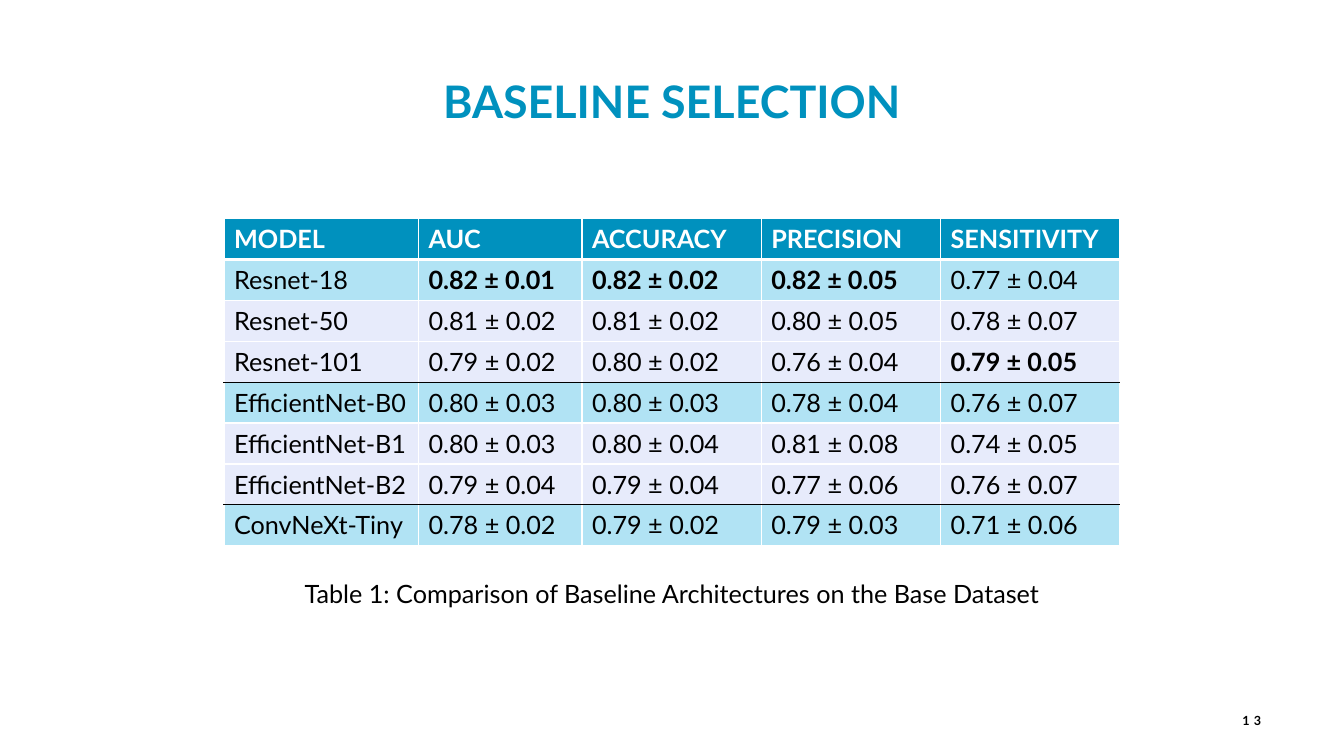
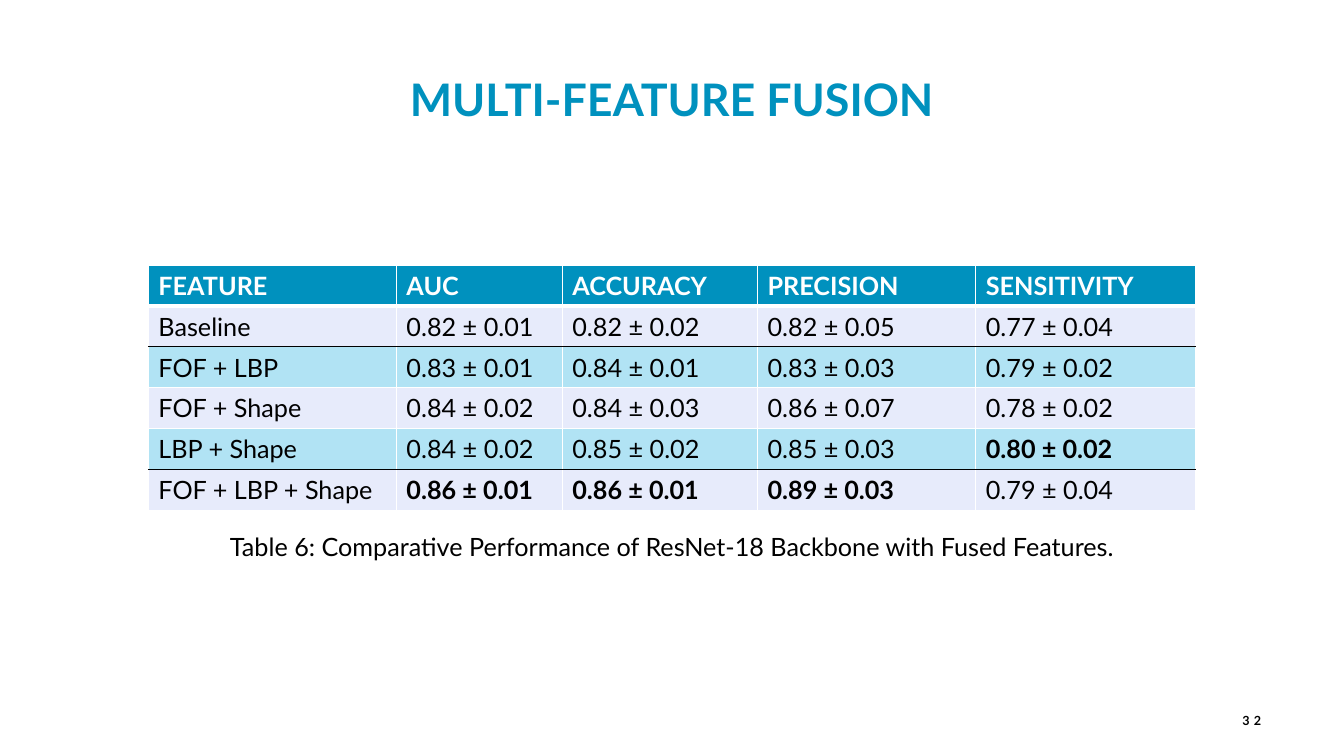
"""Build two result-table slides in one shared style."""
from dataclasses import dataclass

from lxml.etree import SubElement
from pptx import Presentation
from pptx.dml.color import RGBColor
from pptx.enum.text import MSO_ANCHOR, MSO_AUTO_SIZE, PP_ALIGN
from pptx.oxml.ns import qn
from pptx.util import Cm, Pt


@dataclass(frozen=True)
class Theme:
    """Colours, type sizes and lengths in centimetres shared by the slides."""
    font: str = "Lato"
    accent: str = "0091BE"
    highlight: str = "64C8EB"
    highlight_alpha: int = 50
    plain: str = "E7EBFB"
    white: str = "FFFFFF"
    black: str = "000000"
    title_size: int = 32
    body_size: int = 18
    number_size: int = 9
    number_spacing: int = 3
    slide_width: float = 33.87
    slide_height: float = 19.05
    row_height: float = 1.03
    thin_line: int = 1
    header_line: int = 3


@dataclass(frozen=True)
class ResultPage:
    """Content of one slide; rows are counted from the header, row 0."""
    title: str
    title_top: float
    number: str
    caption: str
    caption_top: float
    table_top: float
    column_widths: tuple
    rows: tuple
    highlighted: tuple
    ruled: tuple


THEME = Theme()
METRICS = ("AUC", "ACCURACY", "PRECISION", "SENSITIVITY")

PAGES = (
    ResultPage(
        title="BASELINE SELECTION",
        title_top=1.73,
        number="13",
        caption="Table 1: Comparison of Baseline Architectures on the Base Dataset",
        caption_top=14.43,
        table_top=5.51,
        column_widths=(4.9, 4.12, 4.52, 4.52, 4.52),
        rows=(
            ("MODEL", *METRICS),
            ("Resnet-18", "0.82 ± 0.01", "0.82 ± 0.02", "0.82 ± 0.05", "0.77 ± 0.04"),
            ("Resnet-50", "0.81 ± 0.02", "0.81 ± 0.02", "0.80 ± 0.05", "0.78 ± 0.07"),
            ("Resnet-101", "0.79 ± 0.02", "0.80 ± 0.02", "0.76 ± 0.04", "0.79 ± 0.05"),
            ("EfficientNet-B0", "0.80 ± 0.03", "0.80 ± 0.03", "0.78 ± 0.04", "0.76 ± 0.07"),
            ("EfficientNet-B1", "0.80 ± 0.03", "0.80 ± 0.04", "0.81 ± 0.08", "0.74 ± 0.05"),
            ("EfficientNet-B2", "0.79 ± 0.04", "0.79 ± 0.04", "0.77 ± 0.06", "0.76 ± 0.07"),
            ("ConvNeXt-Tiny", "0.78 ± 0.02", "0.79 ± 0.02", "0.79 ± 0.03", "0.71 ± 0.06"),
        ),
        highlighted=(1, 4, 7),
        ruled=(3, 6),
    ),
    ResultPage(
        title="MULTI-FEATURE FUSION",
        title_top=1.68,
        number="32",
        caption="Table 6: Comparative Performance of ResNet-18 Backbone with Fused Features.",
        caption_top=13.26,
        table_top=6.68,
        column_widths=(6.25, 4.18, 4.92, 5.5, 5.54),
        rows=(
            ("FEATURE", *METRICS),
            ("Baseline", "0.82 ± 0.01", "0.82 ± 0.02", "0.82 ± 0.05", "0.77 ± 0.04"),
            ("FOF + LBP", "0.83 ± 0.01", "0.84 ± 0.01", "0.83 ± 0.03", "0.79 ± 0.02"),
            ("FOF + Shape", "0.84 ± 0.02", "0.84 ± 0.03", "0.86 ± 0.07", "0.78 ± 0.02"),
            ("LBP + Shape", "0.84 ± 0.02", "0.85 ± 0.02", "0.85 ± 0.03", "0.80 ± 0.02"),
            ("FOF + LBP + Shape", "0.86 ± 0.01", "0.86 ± 0.01", "0.89 ± 0.03", "0.79 ± 0.04"),
        ),
        highlighted=(2, 4),
        ruled=(1, 4),
    ),
)


def write_text(frame, text, size, color, bold=False, align=PP_ALIGN.LEFT):
    """Put one formatted line into a text frame and return its run."""
    frame.text = text
    paragraph = frame.paragraphs[0]
    paragraph.alignment = align
    span = paragraph.runs[0]
    span.font.name = THEME.font
    span.font.size = Pt(size)
    span.font.bold = bold
    span.font.color.rgb = RGBColor.from_string(color)
    return span


def add_title(page, text, top):
    """Place the title across the whole slide."""
    box = page.shapes.title
    box.left, box.top = Cm(0), Cm(top)
    box.width, box.height = Cm(THEME.slide_width), Cm(1.63)
    box.text_frame.auto_size = MSO_AUTO_SIZE.NONE
    box.text_frame.vertical_anchor = MSO_ANCHOR.TOP
    write_text(box.text_frame, text, THEME.title_size, THEME.accent, True, PP_ALIGN.CENTER)


def add_label(page, text, left, top, width, size, bold, align):
    """Add a one-line text box and return its run."""
    box = page.shapes.add_textbox(Cm(left), Cm(top), Cm(width), Cm(1.03))
    box.text_frame.word_wrap = True
    box.text_frame.vertical_anchor = MSO_ANCHOR.MIDDLE
    return write_text(box.text_frame, text, size, THEME.black, bold, align)


def add_page_number(page, number):
    """Add the letter-spaced page number at the lower right."""
    span = add_label(page, number, 30.02, 17.65, 2.01, THEME.number_size, True, PP_ALIGN.RIGHT)
    span.font._element.set("spc", str(THEME.number_spacing * 100))


def draw_border(cell, side, color, width):
    """Draw one border of a cell; side is L, R, T or B."""
    properties = cell._tc.get_or_add_tcPr()
    line = SubElement(properties, qn(f"a:ln{side}"), w=str(Pt(width)))
    fill = SubElement(line, qn("a:solidFill"))
    SubElement(fill, qn("a:srgbClr"), val=color)


def fill_cell(cell, color, alpha=100):
    """Fill a cell with a colour of the given opacity in percent."""
    cell.fill.solid()
    cell.fill.fore_color.rgb = RGBColor.from_string(color)
    if alpha < 100:
        tone = cell._tc.tcPr.find(f".//{qn('a:solidFill')}[last()]")
        tone = cell._tc.tcPr.find(qn("a:solidFill")).find(qn("a:srgbClr"))
        SubElement(tone, qn("a:alpha"), val=str(alpha * 1000))


def bottom_line(content, row):
    """Return colour and width of the line below a row."""
    if row == 0:
        return THEME.white, THEME.header_line
    return THEME.black if row in content.ruled else THEME.white, THEME.thin_line


def format_cell(cell, content, row):
    """Give a cell the borders and fill of its row."""
    cell.vertical_anchor = MSO_ANCHOR.MIDDLE
    top = bottom_line(content, row - 1) if row else (THEME.white, THEME.thin_line)
    side = (THEME.white, THEME.thin_line)
    borders = {"L": side, "R": side, "T": top, "B": bottom_line(content, row)}
    for name, (color, width) in borders.items():
        draw_border(cell, name, color, width)
    if row == 0:
        fill_cell(cell, THEME.accent)
    elif row in content.highlighted:
        fill_cell(cell, THEME.highlight, THEME.highlight_alpha)
    else:
        fill_cell(cell, THEME.plain)


def add_result_table(page, content, left, width):
    """Add the table, with the best value of each metric in bold."""
    rows = content.rows
    frame = page.shapes.add_table(
        len(rows), len(rows[0]), Cm(left), Cm(content.table_top),
        Cm(width), Cm(THEME.row_height * len(rows)))
    table = frame.table
    table.first_row = table.horz_banding = False
    for column, column_width in zip(table.columns, content.column_widths):
        column.width = Cm(column_width)
    best = [max(values) for values in zip(*rows[1:])]
    for row, values in enumerate(rows):
        table.rows[row].height = Cm(THEME.row_height)
        for column, value in enumerate(values):
            cell = table.cell(row, column)
            format_cell(cell, content, row)
            bold = row == 0 or (column > 0 and value == best[column])
            color = THEME.black if row else THEME.white
            write_text(cell.text_frame, value, THEME.body_size, color, bold)


def add_result_page(deck, content):
    """Add one slide with title, centred table, caption and number."""
    page = deck.slides.add_slide(deck.slide_layouts[5])
    width = sum(content.column_widths)
    left = (THEME.slide_width - width) / 2
    add_title(page, content.title, content.title_top)
    add_page_number(page, content.number)
    add_result_table(page, content, left, width)
    add_label(page, content.caption, left, content.caption_top, width,
              THEME.body_size, False, PP_ALIGN.CENTER)


def main():
    """Build and save the deck."""
    deck = Presentation()
    deck.slide_width, deck.slide_height = Cm(THEME.slide_width), Cm(THEME.slide_height)
    for content in PAGES:
        add_result_page(deck, content)
    deck.save("out.pptx")


if __name__ == "__main__":
    main()
